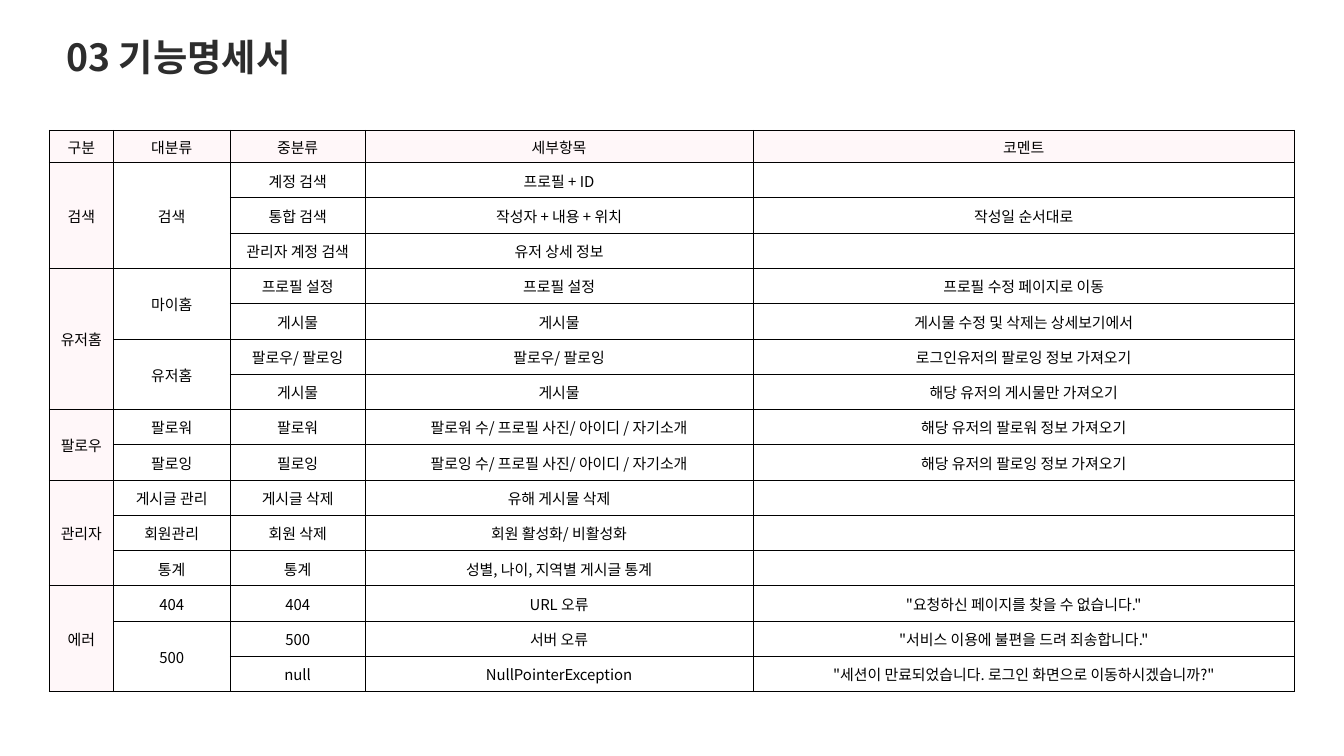
from lxml import etree
from pptx import Presentation
from pptx import util as u
from pptx.dml.color import RGBColor
from pptx.enum import text
from pptx.oxml import ns

WIDTH, HEIGHT = 20, 11.25
FONT = "Noto Sans CJK KR"
INK, BLACK, PINK = "2D2D2D", "000000", "FFF7F9"
COLUMNS = [0.95, 1.74, 2.01, 5.77, 8.06]
HEADER_HEIGHT, ROW_HEIGHT = 0.48, 0.525

ROWS = [
    ["구분", "대분류", "중분류", "세부항목", "코멘트"],
    ["검색", "검색", "계정 검색", "프로필 + ID", ""],
    [None, None, "통합 검색", "작성자 + 내용 + 위치", "작성일 순서대로"],
    [None, None, "관리자 계정 검색", "유저 상세 정보", ""],
    ["유저홈", "마이홈", "프로필 설정", "프로필 설정", "프로필 수정 페이지로 이동"],
    [None, None, "게시물", "게시물", "게시물 수정 및 삭제는 상세보기에서"],
    [None, "유저홈", "팔로우/ 팔로잉", "팔로우/ 팔로잉", "로그인유저의 팔로잉 정보 가져오기"],
    [None, None, "게시물", "게시물", "해당 유저의 게시물만 가져오기"],
    ["팔로우", "팔로워", "팔로워", "팔로워 수/ 프로필 사진/ 아이디 / 자기소개", "해당 유저의 팔로워 정보 가져오기"],
    [None, "팔로잉", "필로잉", "팔로잉 수/ 프로필 사진/ 아이디 / 자기소개", "해당 유저의 팔로잉 정보 가져오기"],
    ["관리자", "게시글 관리", "게시글 삭제", "유해 게시물 삭제", ""],
    [None, "회원관리", "회원 삭제", "회원 활성화/ 비활성화", ""],
    [None, "통계", "통계", "성별, 나이, 지역별 게시글 통계", ""],
    ["에러", "404", "404", "URL 오류", '"요청하신 페이지를 찾을 수 없습니다."'],
    [None, "500", "500", "서버 오류", '"서비스 이용에 불편을 드려 죄송합니다."'],
    [None, None, "null", "NullPointerException", '"세션이 만료되었습니다. 로그인 화면으로 이동하시겠습니까?"'],
]


def rgb(value):
    return RGBColor.from_string(value)


def write(tf, content, size=16, color=BLACK, bold=False, align=text.PP_ALIGN.LEFT):
    p = tf.paragraphs[0]
    p.alignment = align
    r = p.add_run()
    r.text = content
    r.font.name = FONT
    r.font.size = u.Pt(size)
    r.font.bold = bold
    r.font.color.rgb = rgb(color)
    etree.SubElement(r.font._element, ns.qn("a:ea"), typeface=FONT)


def add_title(s, content):
    box = s.shapes.add_textbox(
        u.Inches(0.89), u.Inches(0.46), u.Inches(5.78), u.Inches(0.77)
    )
    tf = box.text_frame
    tf.word_wrap = True
    tf.auto_size = text.MSO_AUTO_SIZE.SHAPE_TO_FIT_TEXT
    write(tf, content, size=40, color=INK, bold=True)


def add_borders(cell, color=BLACK, width=1):
    tc_pr = cell._tc.get_or_add_tcPr()
    for side in ("lnL", "lnR", "lnT", "lnB"):
        line = etree.SubElement(tc_pr, ns.qn(f"a:{side}"), w=str(u.Pt(width)))
        fill = etree.SubElement(line, ns.qn("a:solidFill"))
        etree.SubElement(fill, ns.qn("a:srgbClr"), val=color)


def style_cell(cell, shaded):
    cell.margin_left = cell.margin_right = cell.margin_top = u.Inches(0.01)
    cell.margin_bottom = 0
    cell.vertical_anchor = text.MSO_ANCHOR.MIDDLE
    add_borders(cell)
    if shaded:
        cell.fill.solid()
        cell.fill.fore_color.rgb = rgb(PINK)
    else:
        cell.fill.background()


def merge_groups(table, rows):
    for col, values in enumerate(zip(*rows)):
        start = 0
        for row, value in enumerate(values):
            if value is None:
                continue
            if row - start > 1:
                table.cell(start, col).merge(table.cell(row - 1, col))
            start = row
        if start < len(rows) - 1:
            table.cell(start, col).merge(table.cell(len(rows) - 1, col))


def add_spec_table(s, rows):
    heights = [HEADER_HEIGHT] + [ROW_HEIGHT] * (len(rows) - 1)
    width = sum(COLUMNS)
    table = s.shapes.add_table(
        len(rows), len(COLUMNS),
        u.Inches((WIDTH - width) / 2), u.Inches(1.94),
        u.Inches(width), u.Inches(sum(heights)),
    ).table
    table.first_row = table.horz_banding = False
    for column, size in zip(table.columns, COLUMNS):
        column.width = u.Inches(size)
    for row, size in zip(table.rows, heights):
        row.height = u.Inches(size)
    for i, values in enumerate(rows):
        for j, value in enumerate(values):
            cell = table.cell(i, j)
            style_cell(cell, shaded=i == 0 or j == 0)
            if value:
                write(cell.text_frame, value, align=text.PP_ALIGN.CENTER)
    merge_groups(table, rows)


def main():
    prs = Presentation()
    prs.slide_width, prs.slide_height = u.Inches(WIDTH), u.Inches(HEIGHT)
    s = prs.slides.add_slide(prs.slide_layouts[6])
    add_title(s, "03 기능명세서")
    add_spec_table(s, ROWS)
    prs.save("out.pptx")


if __name__ == "__main__":
    main()
